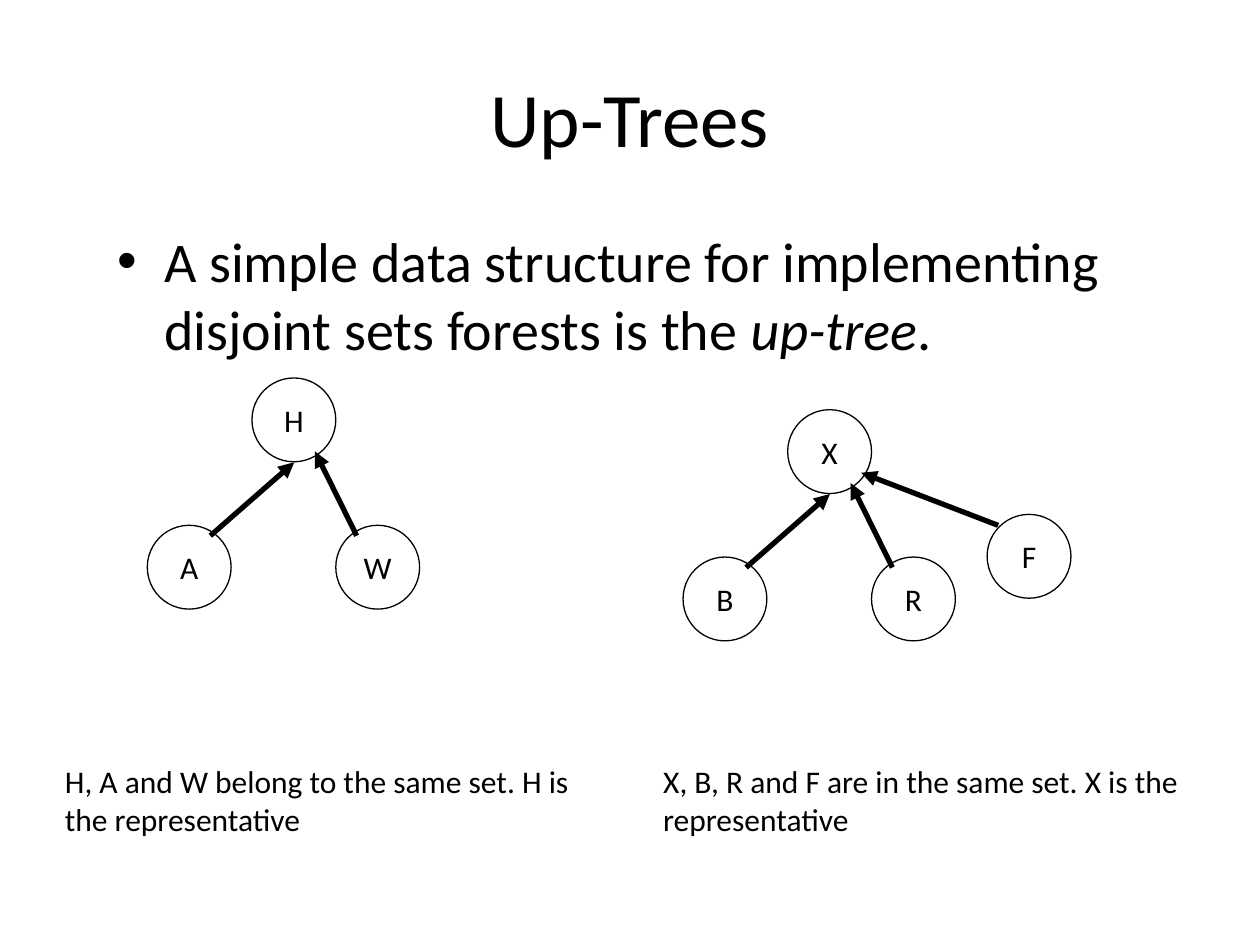
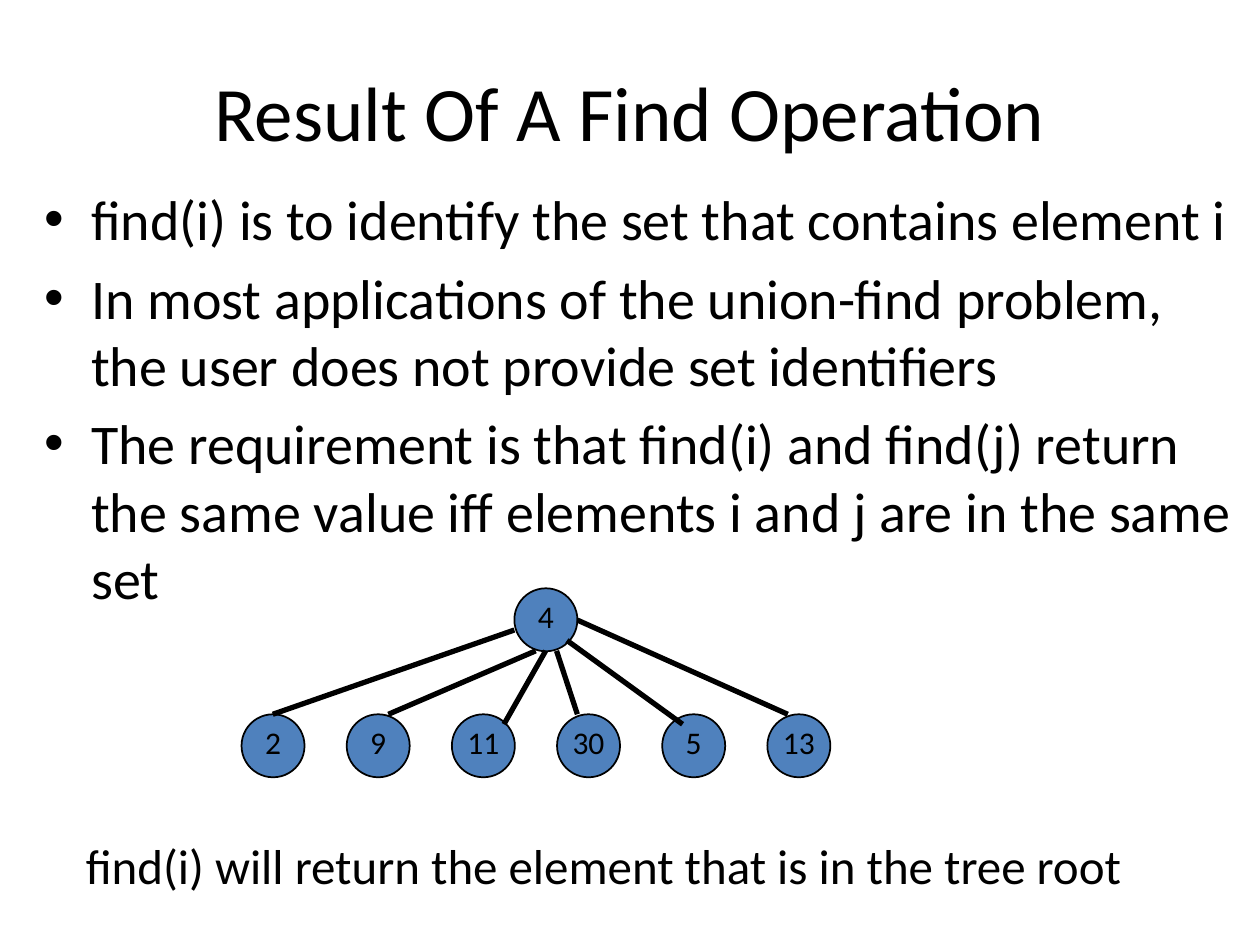
from lxml.etree import SubElement
from pptx import Presentation
from pptx.dml.color import RGBColor
from pptx.enum.shapes import MSO_CONNECTOR as Link, MSO_SHAPE as Shape
from pptx.enum.text import MSO_ANCHOR as Anchor, PP_ALIGN as Align
from pptx.oxml.ns import qn
from pptx.util import Cm, Pt

BLACK = RGBColor(0, 0, 0)
BLUE = RGBColor(0x4F, 0x81, 0xBD)
FONT = "Calibri"


def add_run(para, text, size, slant=None):
    run = para.add_run()
    run.text = text
    run.font.name = FONT
    run.font.size = Pt(size)
    run.font.color.rgb = BLACK
    run.font.italic = slant


def add_box(slide, left, top, width, height):
    frame = slide.shapes.add_textbox(Cm(left), Cm(top), Cm(width), Cm(height)).text_frame
    frame.word_wrap = True
    return frame


deck = Presentation()
deck.slide_width = Cm(25.4)
deck.slide_height = Cm(19.05)
blank = deck.slide_layouts[6]
first = deck.slides.add_slide(blank)
second = deck.slides.add_slide(blank)

titles = [
    (first, "Up-Trees", 1.27, 0.76, 22.86),
    (second, "Result Of A Find Operation", 1.9, 0.64, 21.6),
]
for slide, text, left, top, width in titles:
    frame = add_box(slide, left, top, width, 3.18)
    frame.vertical_anchor = Anchor.MIDDLE
    para = frame.paragraphs[0]
    para.alignment = Align.CENTER
    add_run(para, text, 44)

bodies = [
    (first, (2.11, 4.45, 21.59, 2.97), [
        [("A simple data structure for implementing disjoint sets forests is the ", None),
         ("up-tree", True), (".", None)],
    ]),
    (second, (0.64, 3.6, 24.76, 13.34), [
        [("find(i) is to identify the set that contains element i", None)],
        [("In most applications of the union-find problem, "
          "the user does not provide set identifiers", None)],
        [("The requirement is that find(i) and find(j) return the same value "
          "iff elements i and j are in the same set", None)],
    ]),
]
for slide, area, items in bodies:
    frame = add_box(slide, *area)
    for row, runs in enumerate(items):
        para = frame.add_paragraph() if row else frame.paragraphs[0]
        props = para._p.get_or_add_pPr()
        props.set("marL", str(Cm(0.95)))
        props.set("indent", str(-Cm(0.95)))
        SubElement(props, qn("a:buFont")).set("typeface", "Arial")
        SubElement(props, qn("a:buChar")).set("char", "•")
        if row:
            para.space_before = Pt(6.4)
        for text, slant in runs:
            add_run(para, text, 32, slant)

notes = [
    (first, "H, A and W belong to the same set. H is the representative", 18,
     (1.06, 15.24, 11.43, 2.29)),
    (first, "X, B, R and F are in the same set. X is the representative", 18,
     (13.12, 15.24, 11, 2.29)),
    (second, "find(i) will return the element that is in the tree root", 28,
     (1.48, 16.72, 24.56, 1.45)),
]
for slide, text, size, area in notes:
    add_run(add_box(slide, *area).paragraphs[0], text, size)

pair = [(-2.11, 2.97), (1.69, 2.97)]
pair_lines = [((-0.84, 3.18), (0.85, 1.7)), ((2.11, 3.18), (1.27, 1.48))]
leaves = [(-5.5 + 2.12 * i, 2.54) for i in range(6)]
leaf_lines = [
    ((-4.87, 2.54), (0, 0.84)),
    ((-2.54, 2.54), (0.43, 1.26)),
    ((-0.21, 2.74), (0.63, 1.26)),
    ((1.27, 2.54), (0.85, 1.26)),
    ((3.39, 2.74), (1.06, 1.05)),
    ((5.51, 2.54), (1.27, 0.64)),
]
trees = [
    (first, 5.08, 7.62, 1.69, None, ["H", "A", "W"], pair, pair_lines),
    (first, 15.88, 8.26, 1.69, None, ["X", "B", "R", "F"], pair + [(4.02, 2.11)],
     pair_lines + [((4.24, 2.33), (1.48, 1.27))]),
    (second, 10.37, 11.86, 1.27, BLUE, ["4", "2", "9", "11", "30", "5", "13"],
     leaves, leaf_lines),
]
for slide, left, top, size, fill, names, kids, lines in trees:
    for name, (x, y) in zip(names, [(0, 0)] + kids):
        node = slide.shapes.add_shape(
            Shape.OVAL, Cm(left + x), Cm(top + y), Cm(size), Cm(size))
        node.shadow.inherit = False
        node.line.color.rgb = BLACK
        frame = node.text_frame
        frame.word_wrap = False
        frame.margin_left = frame.margin_right = 0
        frame.margin_top = frame.margin_bottom = 0
        if fill:
            node.fill.solid()
            node.fill.fore_color.rgb = fill
            node.line.width = Pt(1)
            frame.vertical_anchor = Anchor.TOP
        else:
            node.fill.background()
            node.line.width = Pt(0.75)
            frame.vertical_anchor = Anchor.MIDDLE
        frame.paragraphs[0].alignment = Align.CENTER
        add_run(frame.paragraphs[0], name, 18)
    for (x, y), (u, v) in lines:
        edge = slide.shapes.add_connector(
            Link.STRAIGHT, Cm(left + x), Cm(top + y), Cm(left + u), Cm(top + v))
        edge.line.color.rgb = BLACK
        edge.line.width = Pt(3)
        if not fill:
            SubElement(edge.line._get_or_add_ln(), qn("a:tailEnd")).set("type", "triangle")
        SubElement(edge._element.spPr, qn("a:effectLst"))

deck.save("out.pptx")
